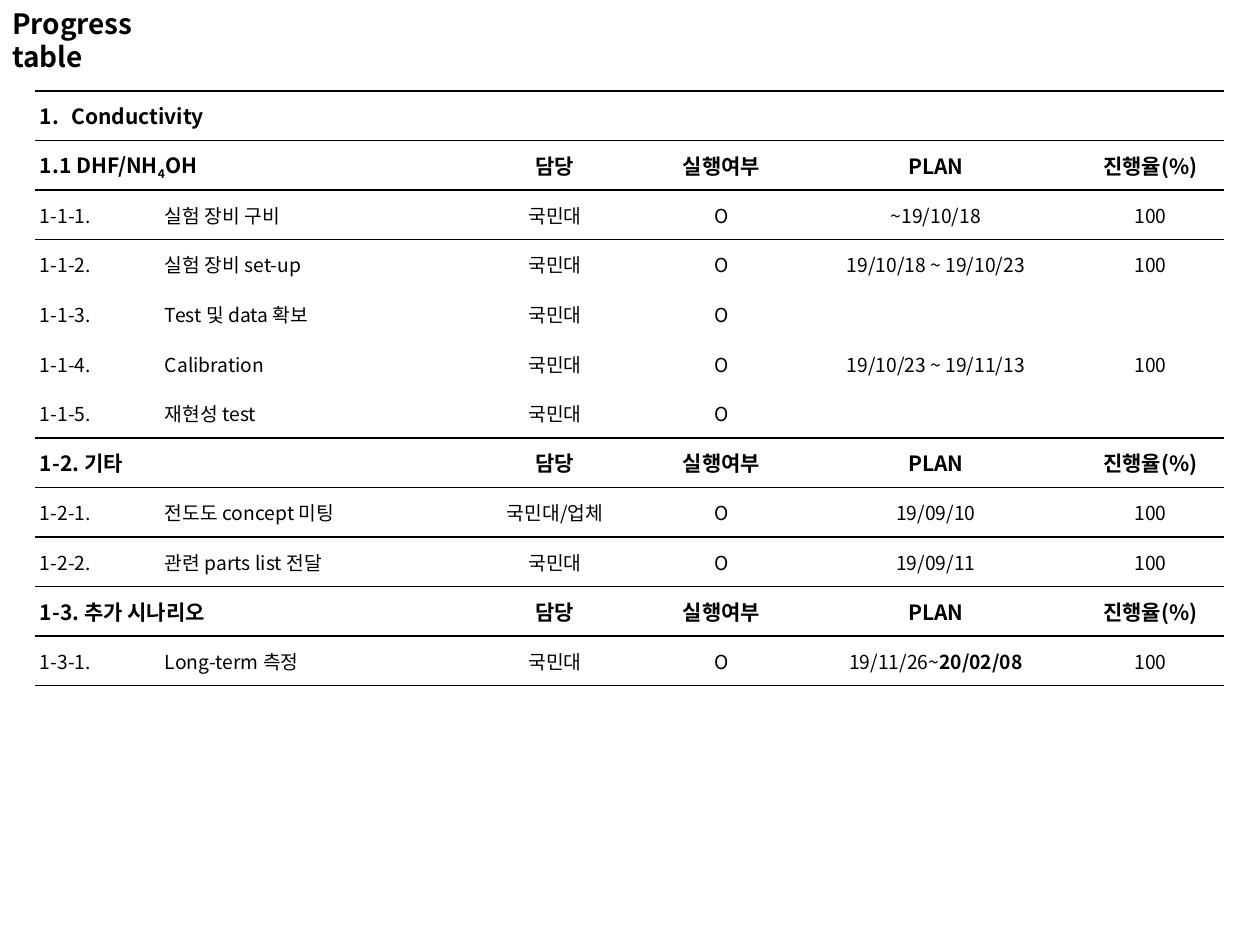
from lxml.etree import SubElement
from pptx import Presentation
from pptx.dml.color import RGBColor
from pptx.enum.text import MSO_ANCHOR as Anchor, MSO_AUTO_SIZE as Fit, PP_ALIGN as Align
from pptx.oxml.ns import qn
from pptx.util import Emu, Pt

PX = 7257.6  # EMU in one px, 126 px to the inch
FONT = "Noto Sans CJK KR"
BLACK = RGBColor(0, 0, 0)
HEAD = {"size": Pt(12), "bold": True}
BODY = {"size": Pt(11), "bold": False}
TITLE = {"size": Pt(16), "bold": True}

LABELS = ["담당", "실행여부", "PLAN", "진행율(%)"]
# A tuple holds runs: plain text, or text with its own format
ROWS = [
    (HEAD, ["Conductivity"]),
    (HEAD, [("1.1 DHF/NH", ("4", {"base": -25}), "OH"), "", *LABELS]),
    (BODY, ["1-1-1.", "실험 장비 구비", "국민대", "O", "~19/10/18", "100"]),
    (BODY, ["1-1-2.", "실험 장비 set-up", "국민대", "O", "19/10/18 ~ 19/10/23", "100"]),
    (BODY, ["1-1-3.", "Test 및 data 확보", "국민대", "O", "19/10/23 ~ 19/11/13", "100"]),
    (BODY, ["1-1-4.", "Calibration", "국민대", "O"]),
    (BODY, ["1-1-5.", "재현성 test", "국민대", "O"]),
    (HEAD, ["1-2. 기타", "", *LABELS]),
    (BODY, ["1-2-1.", "전도도 concept 미팅", "국민대/업체", "O", "19/09/10", "100"]),
    (BODY, ["1-2-2.", "관련 parts list 전달", "국민대", "O", "19/09/11", "100"]),
    (HEAD, ["1-3. 추가 시나리오", "", *LABELS]),
    (BODY, ["1-3-1.", "Long-term 측정", "국민대", "O",
            ("19/11/26~", ("20/02/08", {"bold": True})), "100"]),
]
COLS = [125, 302, 186, 147, 282, 147]
LEFT, TOP, HIGH, INSET = 35, 91, 595, 5
MERGES = [((0, 0), (0, 5)), ((4, 4), (6, 4)), ((4, 5), (6, 5))]
MERGES += [((r, 0), (r, 1)) for r in (1, 7, 10)]
OPEN = {4, 5, 6}  # row edges without a rule


def px(n):
    return Emu(round(n * PX))


def write(para, parts, style):
    for part in (parts if isinstance(parts, tuple) else (parts,)):
        text, extra = part if isinstance(part, tuple) else (part, {})
        run = para.add_run()
        run.text = text
        look = {"name": FONT, **style, **extra}
        base = look.pop("base", 0)
        for key, value in look.items():
            setattr(run.font, key, value)
        run.font.color.rgb = BLACK
        props = run.font._element
        SubElement(props, qn("a:ea"), typeface=FONT)
        if base:
            props.set("baseline", str(base * 1000))


def number(para):
    """Number the paragraph 1., 2., ... with a hanging indent."""
    props = para._p.get_or_add_pPr()
    props.set("marL", "228600")
    props.set("indent", "-228600")
    SubElement(props, qn("a:buFont"), typeface="+mj-lt")
    SubElement(props, qn("a:buAutoNum"), type="arabicPeriod")


def rule(cell, top, bottom):
    """Draw the chosen level edges; the upright edges stay clear."""
    props = cell._tc.get_or_add_tcPr()
    for tag, shown in (("lnL", False), ("lnR", False), ("lnT", top), ("lnB", bottom)):
        line = SubElement(props, qn("a:" + tag), w=str(Pt(1)))
        if shown:
            fill = SubElement(line, qn("a:solidFill"))
            SubElement(fill, qn("a:srgbClr"), val=str(BLACK))
        else:
            SubElement(line, qn("a:noFill"))
    cell.fill.background()


def add_title(slide):
    box = slide.shapes.add_textbox(0, 0, px(218), px(47))
    frame = box.text_frame
    frame.word_wrap = True
    frame.auto_size = Fit.SHAPE_TO_FIT_TEXT
    write(frame.paragraphs[0], "Progress table", TITLE)


def add_progress(slide):
    table = slide.shapes.add_table(
        len(ROWS), len(COLS), px(LEFT), px(TOP), px(sum(COLS)), px(HIGH)).table
    table.first_row = table.horz_banding = False
    for col, width in zip(table.columns, COLS):
        col.width = px(width)
    for row in table.rows:
        row.height = px(HIGH / len(ROWS))
    for first, last in MERGES:
        table.cell(*first).merge(table.cell(*last))
    form = dict.fromkeys(
        ("margin_left", "margin_right", "margin_top", "margin_bottom"), px(INSET))
    form["vertical_anchor"] = Anchor.MIDDLE
    for r, (style, texts) in enumerate(ROWS):
        for c in range(len(COLS)):
            cell = table.cell(r, c)
            for key, value in form.items():
                setattr(cell, key, value)
            end = r + (cell.span_height if cell.is_merge_origin else 1)
            rule(cell, r not in OPEN, end not in OPEN)
            if c < len(texts) and texts[c]:
                para = cell.text_frame.paragraphs[0]
                para.alignment = Align.CENTER if c > 1 else Align.LEFT
                if r == 0:
                    number(para)
                write(para, texts[c], style)


def main():
    deck = Presentation()
    deck.slide_width, deck.slide_height = px(1260), px(945)
    slide = deck.slides.add_slide(deck.slide_layouts[6])
    add_title(slide)
    add_progress(slide)
    deck.save("out.pptx")


if __name__ == "__main__":
    main()
